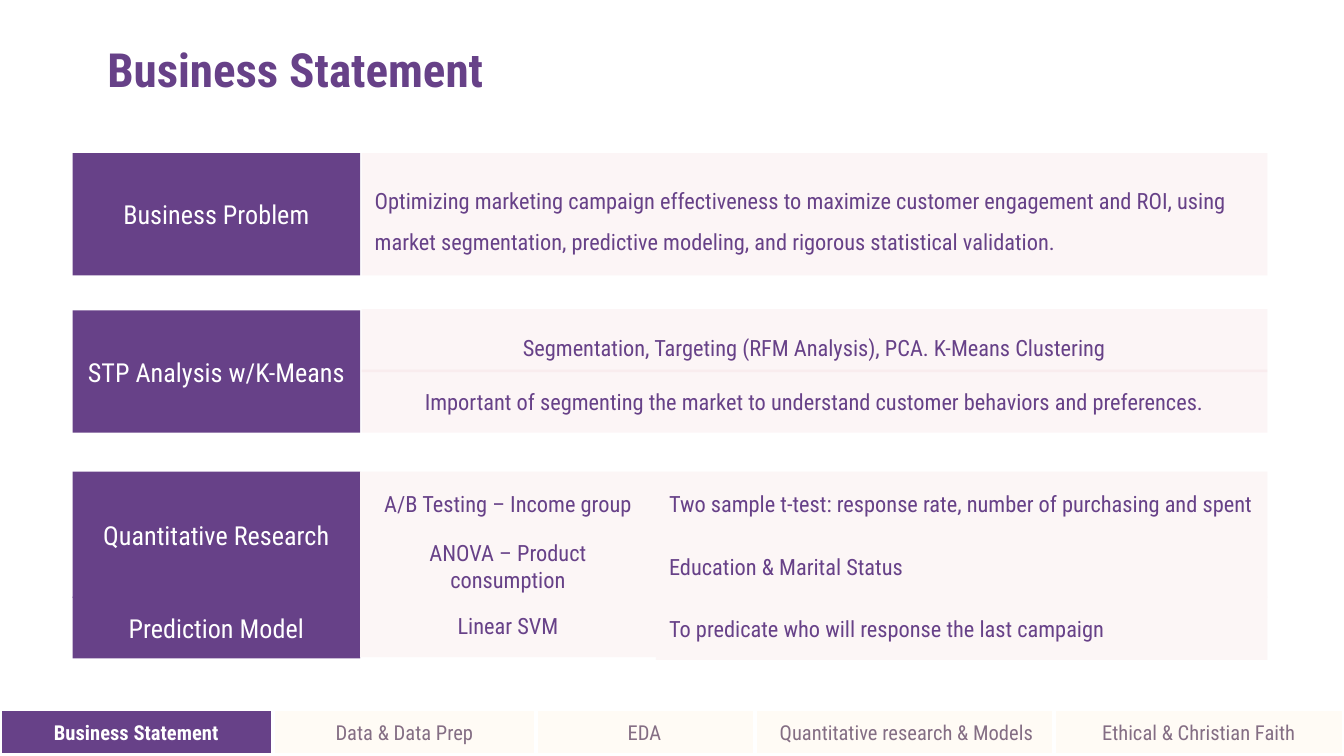
from dataclasses import dataclass

import lxml.etree
import pptx
import pptx.dml.color
import pptx.enum.shapes
import pptx.enum.text
import pptx.oxml.ns
import pptx.slide
import pptx.util

Inches = pptx.util.Inches
RGBColor = pptx.dml.color.RGBColor
Align = pptx.enum.text.PP_ALIGN

PURPLE = RGBColor(0x67, 0x41, 0x88)
WHITE = RGBColor(0xFF, 0xFF, 0xFF)
ROSE = RGBColor(0xE8, 0xB5, 0xBB)
BLUSH = RGBColor(0xFC, 0xF6, 0xF6)
CREAM = RGBColor(0xFF, 0xFB, 0xF5)
MAUVE = RGBColor(0x84, 0x6E, 0x84)
FONT = "Roboto Condensed"

# Widescreen slide
SLIDE_WIDTH = Inches(10)
SLIDE_HEIGHT = SLIDE_WIDTH * 9 // 16

# Columns of the statement area
LABEL_LEFT, LABEL_WIDTH = 0.54, 2.14
DETAIL_LEFT, DETAIL_WIDTH = 2.69, 6.74
METHOD_LEFT, METHOD_WIDTH = 2.68, 2.2
NOTE_LEFT, NOTE_WIDTH = 4.88, 4.55
ROW_HEIGHT = 0.47


@dataclass
class Box:
    text: str
    left: float
    top: float
    width: float
    height: float
    fill: RGBColor
    color: RGBColor = PURPLE
    size: float = 12
    align: Align = Align.CENTER
    bold: bool = False
    opacity: int = 100
    spacing: float = 1.0
    outlined: bool = False


def write_text(frame: pptx.text.text.TextFrame, text: str, size: float,
               color: RGBColor, bold: bool, align: Align,
               spacing: float = 1.0, inset: float = 0.1) -> None:
    frame.word_wrap = True
    frame.vertical_anchor = pptx.enum.text.MSO_ANCHOR.MIDDLE
    frame.margin_left = frame.margin_right = Inches(0.1)
    frame.margin_top = frame.margin_bottom = Inches(inset)
    frame.text = text
    paragraph = frame.paragraphs[0]
    paragraph.alignment = align
    paragraph.line_spacing = spacing
    font = paragraph.runs[0].font
    font.name, font.size, font.bold = FONT, pptx.util.Pt(size), bold
    font.color.rgb = color


def draw_box(slide: pptx.slide.Slide, box: Box) -> None:
    shape = slide.shapes.add_shape(
        pptx.enum.shapes.MSO_SHAPE.RECTANGLE, Inches(box.left),
        Inches(box.top), Inches(box.width), Inches(box.height))
    shape.shadow.inherit = False
    shape.fill.solid()
    shape.fill.fore_color.rgb = box.fill
    if box.opacity < 100:
        qn = pptx.oxml.ns.qn
        color = shape.fill._xPr.find(qn("a:solidFill")).find(qn("a:srgbClr"))
        alpha = lxml.etree.SubElement(color, qn("a:alpha"))
        alpha.set("val", str(box.opacity * 1000))
    if box.outlined:
        shape.line.color.rgb = WHITE
        shape.line.width = pptx.util.Pt(2)
    else:
        shape.line.fill.background()
    write_text(shape.text_frame, box.text, box.size, box.color, box.bold,
               box.align, box.spacing, 0.05 if box.outlined else 0.1)


def label(text: str, top: float, height: float) -> Box:
    return Box(text, LABEL_LEFT, top, LABEL_WIDTH, height, PURPLE, WHITE, 14)


def detail(text: str, top: float, height: float = ROW_HEIGHT,
           align: Align = Align.CENTER, spacing: float = 1.0) -> Box:
    return Box(text, DETAIL_LEFT, top, DETAIL_WIDTH, height, ROSE,
               align=align, opacity=13, spacing=spacing)


def method(text: str, top: float) -> Box:
    return Box(text, METHOD_LEFT, top, METHOD_WIDTH, ROW_HEIGHT, BLUSH)


def note(text: str, top: float) -> Box:
    return Box(text, NOTE_LEFT, top, NOTE_WIDTH, ROW_HEIGHT, BLUSH,
               align=Align.LEFT)


def tab(text: str, left: float, width: float, active: bool = False) -> Box:
    return Box(text, left, 5.28, width, 0.34, PURPLE if active else CREAM,
               WHITE if active else MAUVE, 11, bold=active, outlined=True)


STATEMENTS = [
    # Business problem
    detail("Optimizing marketing campaign effectiveness to maximize customer "
           "engagement and ROI, using market segmentation, predictive "
           "modeling, and rigorous statistical validation.",
           1.14, 0.91, Align.LEFT, 1.5),
    label("Business Problem", 1.14, 0.91),
    # Segmentation
    label("STP Analysis w/K-Means", 2.31, 0.91),
    detail("Important of segmenting the market to understand customer "
           "behaviors and preferences.", 2.75),
    detail("Segmentation, Targeting (RFM Analysis), PCA. K-Means Clustering",
           2.3, spacing=1.5),
    # Research and prediction
    label("Quantitative Research", 3.51, 0.94),
    label("Prediction Model", 4.44, 0.46),
    note("Two sample t-test: response rate, number of purchasing and spent",
         3.51),
    note("Education & Marital Status", 3.98),
    note("To predicate who will response the last campaign", 4.44),
    method("A/B Testing – Income group", 3.51),
    method("ANOVA – Product consumption", 3.98),
    method("Linear SVM", 4.42),
]

TABS = [
    tab("Business Statement", 0, 2.03, active=True),
    tab("EDA", 3.97, 1.65),
    tab("Data & Data Prep", 2.03, 1.96),
    tab("Quantitative research & Models", 5.62, 2.25),
    tab("Ethical & Christian Faith", 7.84, 2.16),
]


def main() -> None:
    deck = pptx.Presentation()
    deck.slide_width, deck.slide_height = SLIDE_WIDTH, SLIDE_HEIGHT
    slide = deck.slides.add_slide(deck.slide_layouts[6])

    # Heading
    heading = slide.shapes.add_textbox(
        Inches(0.7), Inches(0.31), Inches(5.54), Inches(0.41))
    write_text(heading.text_frame, "Business Statement", 25.2, PURPLE, True,
               Align.LEFT)

    # Statement rows and navigation bar
    for box in STATEMENTS + TABS:
        draw_box(slide, box)

    deck.save("out.pptx")


if __name__ == "__main__":
    main()
